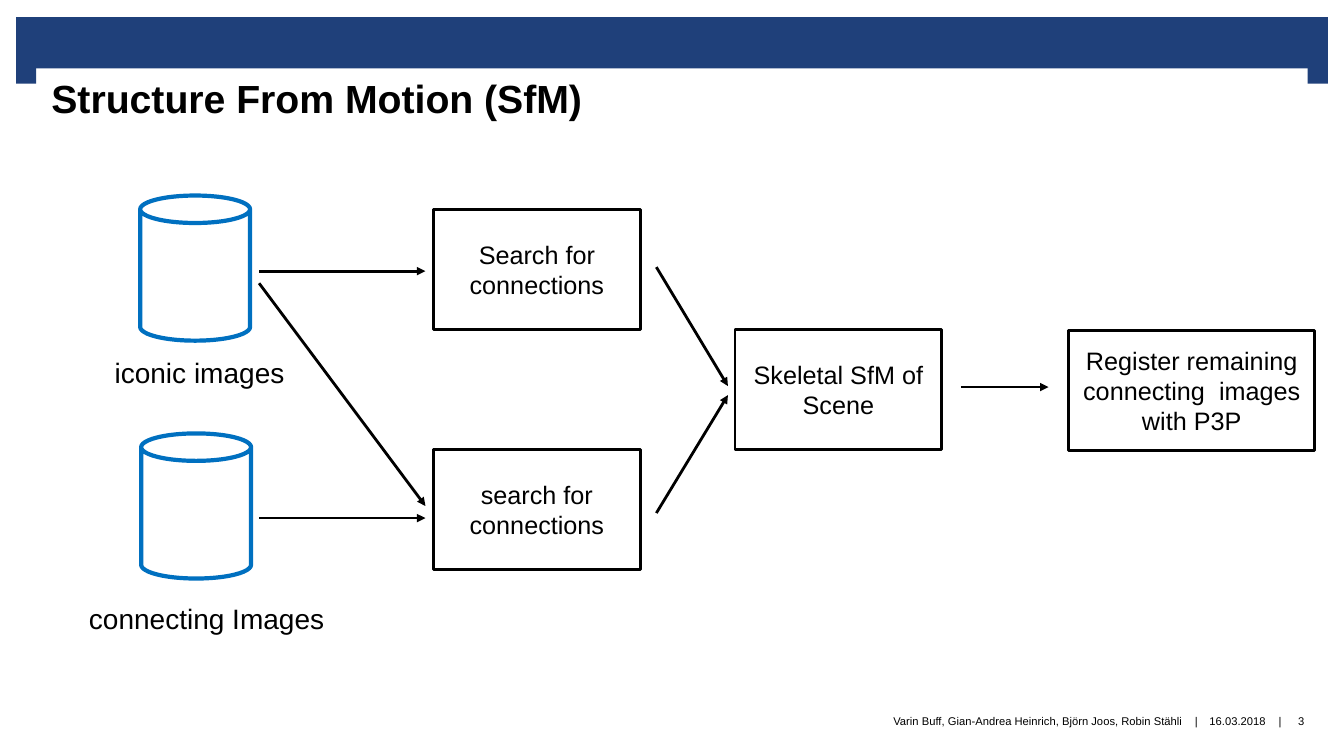
"""Build the Structure From Motion pipeline slide."""
from dataclasses import dataclass

from lxml import etree
from pptx import Presentation
from pptx import util as u
from pptx.dml.color import RGBColor
from pptx.enum import shapes, text
from pptx.oxml.ns import qn


@dataclass(frozen=True)
class Theme:
    font: str = "Arial"
    banner: RGBColor = RGBColor(0x1F, 0x40, 0x7A)
    store: RGBColor = RGBColor(0x00, 0x70, 0xC0)
    ink: RGBColor = RGBColor(0, 0, 0)
    paper: RGBColor = RGBColor(255, 255, 255)
    title: int = 28
    label: int = 20
    step: int = 18
    footer: int = 8


theme = Theme()
presentation = Presentation()
presentation.slide_width = u.Inches(13.33)
presentation.slide_height = u.Inches(7.5)
slide = presentation.slides.add_slide(presentation.slide_layouts[5])


def add_shape(kind, box, fill=None, line=None, width=2):
    """Add a flat preset shape."""
    shape = slide.shapes.add_shape(kind, *map(u.Inches, box))
    shape.shadow.inherit = False
    if fill is None:
        shape.fill.background()
    else:
        shape.fill.solid()
        shape.fill.fore_color.rgb = fill
    if line is None:
        shape.line.fill.background()
    else:
        shape.line.color.rgb = line
        shape.line.width = u.Pt(width)
    return shape


def write(shape, words, size, align, anchor, margins, bold=False, wrap=True):
    """Write one formatted run into a shape."""
    frame = shape.text_frame
    frame.word_wrap = wrap
    frame.auto_size = text.MSO_AUTO_SIZE.NONE
    frame.vertical_anchor = anchor
    (frame.margin_left, frame.margin_top,
     frame.margin_right, frame.margin_bottom) = map(u.Inches, margins)
    paragraph = frame.paragraphs[0]
    paragraph.alignment = align
    run = paragraph.add_run()
    run.text = words
    run.font.name = theme.font
    run.font.size = u.Pt(size)
    run.font.bold = bold
    run.font.color.rgb = theme.ink
    return paragraph


left, center, right = text.PP_ALIGN.LEFT, text.PP_ALIGN.CENTER, text.PP_ALIGN.RIGHT
top, middle = text.MSO_ANCHOR.TOP, text.MSO_ANCHOR.MIDDLE
rectangle = shapes.MSO_SHAPE.RECTANGLE

title = slide.shapes.title
title.left, title.top, title.width, title.height = map(u.Inches, (0.35, 0.68, 12.62, 1.06))
write(title, "Structure From Motion (SfM)", theme.title, left, top, (0.16, 0.06, 0.16, 0), bold=True)

for banner_part in ((0.16, 0.17, 13.01, 0.51), (0.16, 0.65, 0.2, 0.18), (12.97, 0.65, 0.2, 0.18)):
    add_shape(rectangle, banner_part, theme.banner)

step_width, step_height = 2.05, 1.19
search_column, skeleton_column, register_column = 4.3, 7.29, 10.6
upper_row, middle_row, lower_row = 2.08, 3.27, 4.46
steps = (
    ("Search for connections", search_column, upper_row, step_width),
    ("search for connections", search_column, lower_row, step_width),
    ("Skeletal SfM of Scene", skeleton_column, middle_row, step_width),
    ("Register remaining connecting  images with P3P", register_column, middle_row + 0.01, 2.44),
)
for words, column, row, width in steps:
    step = add_shape(rectangle, (column, row, width, step_height), theme.paper, theme.ink)
    write(step, words, theme.step, center, middle, (0.1, 0.05, 0.1, 0.05))

stores = (
    ("iconic images", (1.39, 1.94), (0.84, 3.53, 2.13, 0.46)),
    ("connecting Images", (1.4, 4.3), (0.52, 5.97, 2.91, 0.46)),
)
for words, corner, label_box in stores:
    add_shape(shapes.MSO_SHAPE.CAN, (*corner, 1.09, 1.44), line=theme.store, width=3)
    label = slide.shapes.add_textbox(*map(u.Inches, label_box))
    paragraph = write(label, words, theme.label, center, top, (0.15, 0, 0, 0))
    paragraph.space_before = u.Pt(5)

store_exit, search_entry = 2.57, 4.22
search_exit, skeleton_entry = 6.51, 7.22
arrows = (
    (store_exit, 2.69, search_entry, 2.69),
    (store_exit, 2.81, search_entry, 5.02),
    (store_exit, 5.14, search_entry, 5.14),
    (search_exit, 2.65, skeleton_entry, 3.83),
    (search_exit, 5.09, skeleton_entry, 3.92),
    (9.53, 3.84, 10.4, 3.84),
)
for ends in arrows:
    arrow = slide.shapes.add_connector(shapes.MSO_CONNECTOR.STRAIGHT, *map(u.Inches, ends))
    arrow.line.color.rgb = theme.ink
    arrow.line.width = u.Pt(2)
    properties = arrow.line._get_or_add_ln()
    etree.SubElement(properties, qn("a:tailEnd"), type="triangle")
    etree.SubElement(properties.getparent(), qn("a:effectLst"))

footer_top, footer_height = 6.9, 0.5
footers = (
    ("Varin Buff, Gian-Andrea Heinrich, Björn Joos, Robin Stähli", 6.66, 5.07, right),
    ("|", 11.79, 0.15, center),
    ("16.03.2018", 11.94, 0.67, center),
    ("|", 12.62, 0.15, center),
    ("3", 12.71, 0.39, center),
)
for words, column, width, align in footers:
    footer = slide.shapes.add_textbox(*map(u.Inches, (column, footer_top, width, footer_height)))
    write(footer, words, theme.footer, align, middle, (0, 0, 0, 0), wrap=False)

presentation.save("out.pptx")
